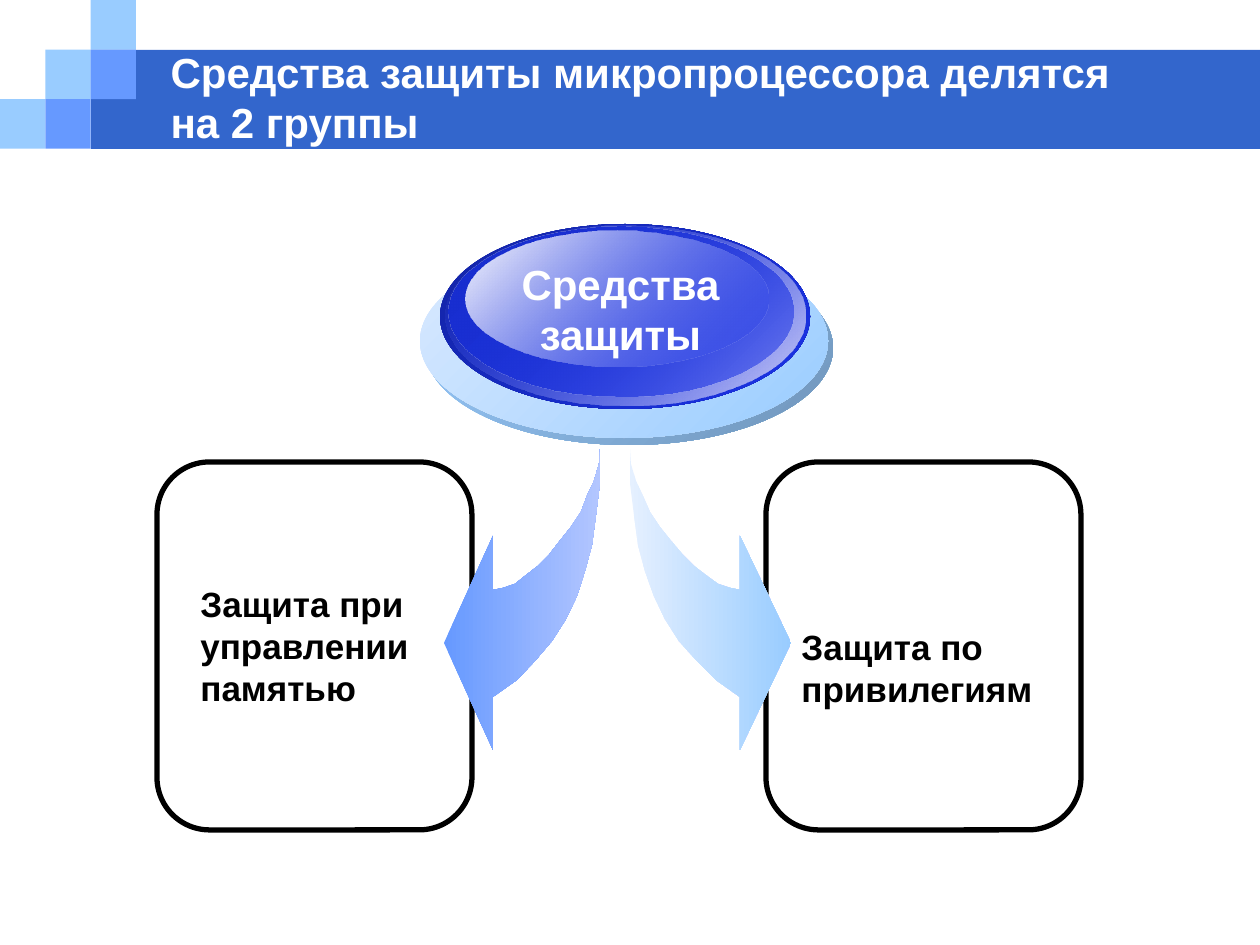
from lxml.etree import SubElement
from pptx import Presentation
from pptx.dml.color import RGBColor
from pptx.enum.shapes import MSO_SHAPE as Shape
from pptx.enum.text import MSO_ANCHOR as Anchor, MSO_AUTO_SIZE as AutoSize, PP_ALIGN as Align
from pptx.oxml.ns import qn
from pptx.util import Emu, Pt

EMU_PER_PX = 914400 / 126

WHITE = RGBColor(0xFF, 0xFF, 0xFF)
BLACK = RGBColor(0x00, 0x00, 0x00)
BAR_BLUE = RGBColor(0x33, 0x66, 0xCC)
SKY = RGBColor(0x99, 0xCC, 0xFF)
PALE_SKY = RGBColor(0xDA, 0xEA, 0xFF)
PALEST_SKY = RGBColor(0xE5, 0xF0, 0xFF)
STEEL = RGBColor(0x70, 0x95, 0xBA)
CORNFLOWER = RGBColor(0x66, 0x99, 0xFF)
PERIWINKLE = RGBColor(0xB3, 0xC6, 0xFF)
NAVY = RGBColor(0x13, 0x24, 0xA5)
ROYAL = RGBColor(0x18, 0x2E, 0xD1)
VIVID = RGBColor(0x1B, 0x33, 0xE7)
LAVENDER = RGBColor(0xD4, 0xD5, 0xF7)

# Outline of the arrow that swings right, from its tail tip at (0, 0)
ARROW = [(0, 0), (0, 34), (4, 66), (8, 96), (15, 122), (24, 147), (35, 170), (49, 192),
         (67, 212), (86, 231), (110, 248), (110, 301), (161, 194), (110, 87), (110, 141),
         (100, 139), (88, 135), (77, 127), (64, 117), (53, 106), (42, 93), (30, 78),
         (20, 63), (13, 47), (6, 32), (1, 15)]


def px(*lengths):
    return [Emu(round(length * EMU_PER_PX)) for length in lengths]


def write(frame, text, size=20, color=BLACK, align=Align.LEFT, anchor=Anchor.TOP, wrap=True):
    frame.word_wrap = wrap
    frame.auto_size = AutoSize.NONE
    frame.vertical_anchor = anchor
    frame.text = text
    for paragraph in frame.paragraphs:
        paragraph.alignment = align
        font = paragraph.font
        font.name, font.size, font.bold = "Arial", Pt(size), True
        font.color.rgb = color


class SlideBuilder:
    def __init__(self, deck):
        self.slide = deck.slides.add_slide(deck.slide_layouts[5])
        self.shapes = self.slide.shapes

    def title(self, text, *box):
        """Fill the title placeholder and bring it in front of what is drawn so far."""
        title = self.shapes.title
        title.left, title.top, title.width, title.height = px(*box)
        write(title.text_frame, text, size=24, color=WHITE, anchor=Anchor.MIDDLE)
        self.shapes._spTree.append(title._element)

    def preset(self, kind, *box):
        shape = self.shapes.add_shape(kind, *px(*box))
        shape.shadow.inherit = False
        shape.line.fill.background()
        return shape

    def block(self, color, *box):
        fill = self.preset(Shape.RECTANGLE, *box).fill
        fill.solid()
        fill.fore_color.rgb = color

    def frame(self, *box):
        frame = self.preset(Shape.ROUNDED_RECTANGLE, *box)
        frame.adjustments[0] = 0.167
        frame.fill.background()
        frame.line.color.rgb = BLACK
        frame.line.width = Pt(3)

    def gradient(self, shape, colors, angle, opacities=(100, 100)):
        """Two-stop gradient; the angle runs counter-clockwise, opacities are percent."""
        shape.fill.gradient()
        shape.fill.gradient_angle = angle
        for stop, color in zip(shape.fill.gradient_stops, colors):
            stop.color.rgb = color
        for node, opacity in zip(shape._element.iter(qn("a:gs")), opacities):
            if opacity < 100:
                SubElement(node[0], qn("a:alpha"), val=str(opacity * 1000))

    def ellipse(self, box, colors, opacities=(100, 100)):
        self.gradient(self.preset(Shape.OVAL, *box), colors, 315, opacities)

    def arrow(self, tail_x, tail_y, stretch, colors):
        """Curved arrow; a negative stretch makes it swing left."""
        points = [(round(tail_x + x * stretch), tail_y + y) for x, y in ARROW]
        builder = self.shapes.build_freeform(*points[0], scale=EMU_PER_PX)
        builder.add_line_segments(points[1:], close=True)
        arrow = builder.convert_to_shape()
        arrow.shadow.inherit = False
        arrow.line.fill.background()
        self.gradient(arrow, colors, 0)

    def text(self, text, *box, **style):
        write(self.shapes.add_textbox(*px(*box)).text_frame, text, **style)


def main():
    deck = Presentation()
    deck.slide_width, deck.slide_height = px(1260, 945)
    page = SlideBuilder(deck)

    page.block(BAR_BLUE, 91, 50, 1169, 99)
    tile_w, tile_h = 45.3, 49.6
    for color, cells in ((SKY, [(0, 2), (1, 1), (2, 0)]), (CORNFLOWER, [(2, 1), (1, 2)])):
        for column, row in cells:
            page.block(color, column * tile_w, row * tile_h, tile_w, tile_h)
    page.title("Средства защиты микропроцессора делятся на 2 группы", 158, 63, 1018, 67)

    for left in (766, 157):
        page.frame(left, 462, 315, 368)
    page.text("Защита при управлении памятью", 188, 576, 249, 140)

    page.arrow(600, 449, -0.97, (CORNFLOWER, PERIWINKLE))
    page.arrow(630, 449, 1, (PALEST_SKY, SKY))

    page.ellipse((425, 251, 408, 194), (SKY, STEEL))
    page.ellipse((420, 244, 408, 194), (PALE_SKY, SKY))
    page.ellipse((440, 224, 370, 185), (NAVY, VIVID))
    page.ellipse((445, 226, 360, 180), (VIVID, LAVENDER), (0, 100))
    page.ellipse((449, 227, 344, 169), (ROYAL, VIVID), (100, 48))
    page.ellipse((466, 231, 302, 136), (WHITE, VIVID), (100, 38))
    page.text("Средства\nзащиты", 508, 252, 225, 115,
              size=24, color=WHITE, align=Align.CENTER, wrap=False)

    page.text("Защита по привилегиям", 789, 619, 281, 97)
    deck.save("out.pptx")


if __name__ == "__main__":
    main()
